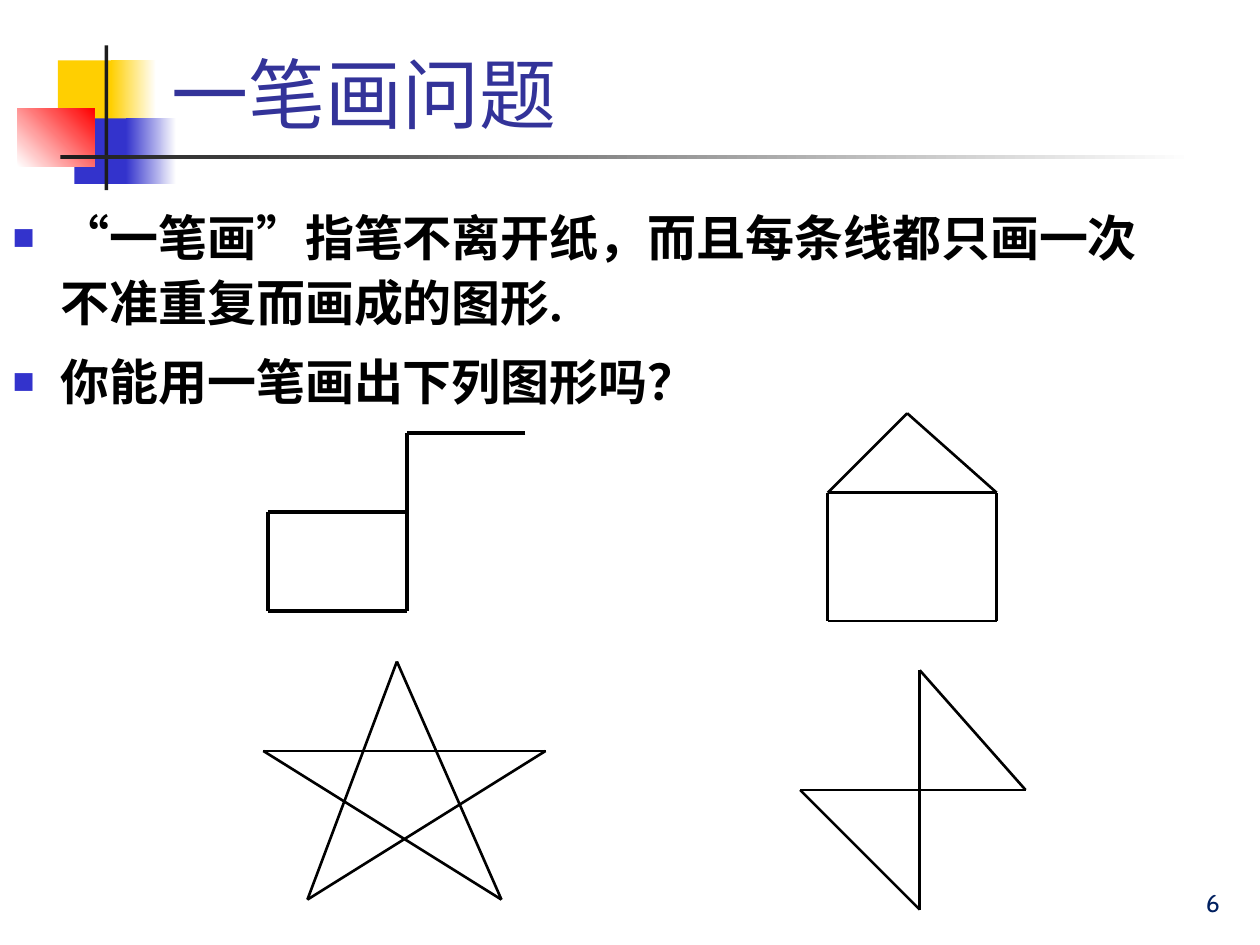
from itertools import pairwise

from lxml.etree import SubElement
from pptx import Presentation
from pptx.dml.color import RGBColor
from pptx.enum.shapes import MSO_CONNECTOR as Link, MSO_SHAPE as Shape
from pptx.enum.text import MSO_ANCHOR as Anchor, MSO_AUTO_SIZE as Fit, PP_ALIGN as Align
from pptx.oxml.ns import qn
from pptx.util import Inches, Pt

BLACK = RGBColor(0x00, 0x00, 0x00)
WHITE = RGBColor(0xFF, 0xFF, 0xFF)
INK = RGBColor(0x1C, 0x1C, 0x1C)
GOLD = RGBColor(0xFF, 0xCF, 0x01)
BLUE = RGBColor(0x33, 0x33, 0xCC)
RED = RGBColor(0xFF, 0x00, 0x00)
INDIGO = RGBColor(0x33, 0x33, 0x99)
NAVY = RGBColor(0x00, 0x20, 0x60)

TITLE = {"size": Pt(44), "name": "Cabin", "bold": False}
BODY = {"size": Pt(28), "name": "Times New Roman", "bold": True}
NUMBER = {"size": Pt(14), "name": "Cabin", "bold": False}

POINTS = [
    "“一笔画”指笔不离开纸，而且每条线都只画一次不准重复而画成的图形.",
    "你能用一笔画出下列图形吗？",
]

# Each block: left, top, width, height within the emblem, colours, angle
BLOCKS = [
    (0.32, 0.12, 0.48, 0.52, (GOLD,), 0),
    (0.74, 0.12, 0.36, 0.52, (GOLD, WHITE), 0),
    (0.45, 0.58, 0.46, 0.52, (BLUE,), 0),
    (0.86, 0.58, 0.40, 0.52, (BLUE, WHITE), 0),
    (0, 0.50, 0.61, 0.46, (WHITE, RED), 45),
    (0.69, 0, 0.03, 1.15, (INK,), 0),
    (0.34, 0.87, 9, 0.03, (INK, WHITE), 0),
]

# Each figure: left, top, line width, and the corners in drawing order
FIGURES = [
    (2.13, 3.44, 2.25,
     [(2.04, 0), (1.1, 0), (1.1, 1.41), (0, 1.41), (0, 0.62), (1.1, 0.62)]),
    (6.35, 5.32, 1.5,
     [(0.95, 0), (0.95, 1.9), (0, 0.95), (1.79, 0.95), (0.95, 0)]),
    (6.57, 3.28, 1.5,
     [(0, 0.63), (0.63, 0), (1.34, 0.63), (0, 0.63), (0, 1.65), (1.34, 1.65),
      (1.34, 0.63)]),
    (2.09, 5.25, 1.5,
     [(1.06, 0), (0.35, 1.89), (2.24, 0.71), (0, 0.71), (1.89, 1.89), (1.06, 0)]),
]


def style(font, form, color):
    for key, value in form.items():
        setattr(font, key, value)
    font.color.rgb = color


def place(shape, left, top, width, height):
    box = {"left": left, "top": top, "width": width, "height": height}
    for key, value in box.items():
        setattr(shape, key, Inches(value))


def add_emblem(shapes, left, top):
    for x, y, width, height, colors, angle in BLOCKS:
        block = shapes.add_shape(Shape.RECTANGLE, Inches(left + x), Inches(top + y),
                                 Inches(width), Inches(height))
        block.shadow.inherit = False
        block.line.fill.background()
        if len(colors) == 1:
            block.fill.solid()
            block.fill.fore_color.rgb = colors[0]
        else:
            block.fill.gradient()
            block.fill.gradient_angle = angle
            for stop, color in zip(block.fill.gradient_stops, colors):
                stop.color.rgb = color


def add_title(title, *box):
    place(title, *box)
    frame = title.text_frame
    frame.text = "一笔画问题"
    frame.auto_size = Fit.NONE
    frame.vertical_anchor = Anchor.BOTTOM
    para = frame.paragraphs[0]
    para.alignment = Align.LEFT
    style(para.font, TITLE, INDIGO)


def add_bullet(para):
    props = para._p.get_or_add_pPr()
    props.set("marL", str(Inches(0.38)))
    props.set("indent", str(-Inches(0.38)))
    color = SubElement(props, qn("a:buClr"))
    SubElement(color, qn("a:srgbClr"), val=str(BLUE))
    SubElement(props, qn("a:buSzPct"), val="75000")
    SubElement(props, qn("a:buFont"), typeface="Arial")
    SubElement(props, qn("a:buChar"), char="■")


def add_body(body, *box):
    place(body, *box)
    frame = body.text_frame
    frame.text = "\n".join(POINTS)
    frame.auto_size = Fit.NONE
    for i, para in enumerate(frame.paragraphs):
        add_bullet(para)
        para.line_spacing = 1.1
        para.space_before = Pt(8.4 if i else 0)
        style(para.font, BODY, BLACK)


def add_figure(shapes, left, top, weight, corners):
    group = shapes.add_group_shape()
    spots = [(Inches(left + x), Inches(top + y)) for x, y in corners]
    for start, end in pairwise(spots):
        line = group.shapes.add_connector(Link.STRAIGHT, *start, *end)
        line.line.color.rgb = BLACK
        line.line.width = Pt(weight)
        SubElement(line._element.spPr, qn("a:effectLst"))


def add_number(shapes, *box):
    frame = shapes.add_textbox(*map(Inches, box)).text_frame
    frame.word_wrap = True
    frame.vertical_anchor = Anchor.BOTTOM
    frame.text = "6"
    para = frame.paragraphs[0]
    para.alignment = Align.RIGHT
    style(para.font, NUMBER, NAVY)


def main():
    deck = Presentation()
    deck.slide_width, deck.slide_height = Inches(10), Inches(7.5)
    slide = deck.slides.add_slide(deck.slide_layouts[1])
    shapes = slide.shapes
    add_emblem(shapes, 0.14, 0.36)
    add_title(shapes.title, 1.26, 0.08, 8.52, 1.07)
    add_body(slide.placeholders[1], 0, 1.55, 9.29, 1.97)
    for figure in FIGURES:
        add_figure(shapes, *figure)
    add_number(shapes, 7.7, 6.83, 2.08, 0.5)
    deck.save("out.pptx")


if __name__ == "__main__":
    main()
